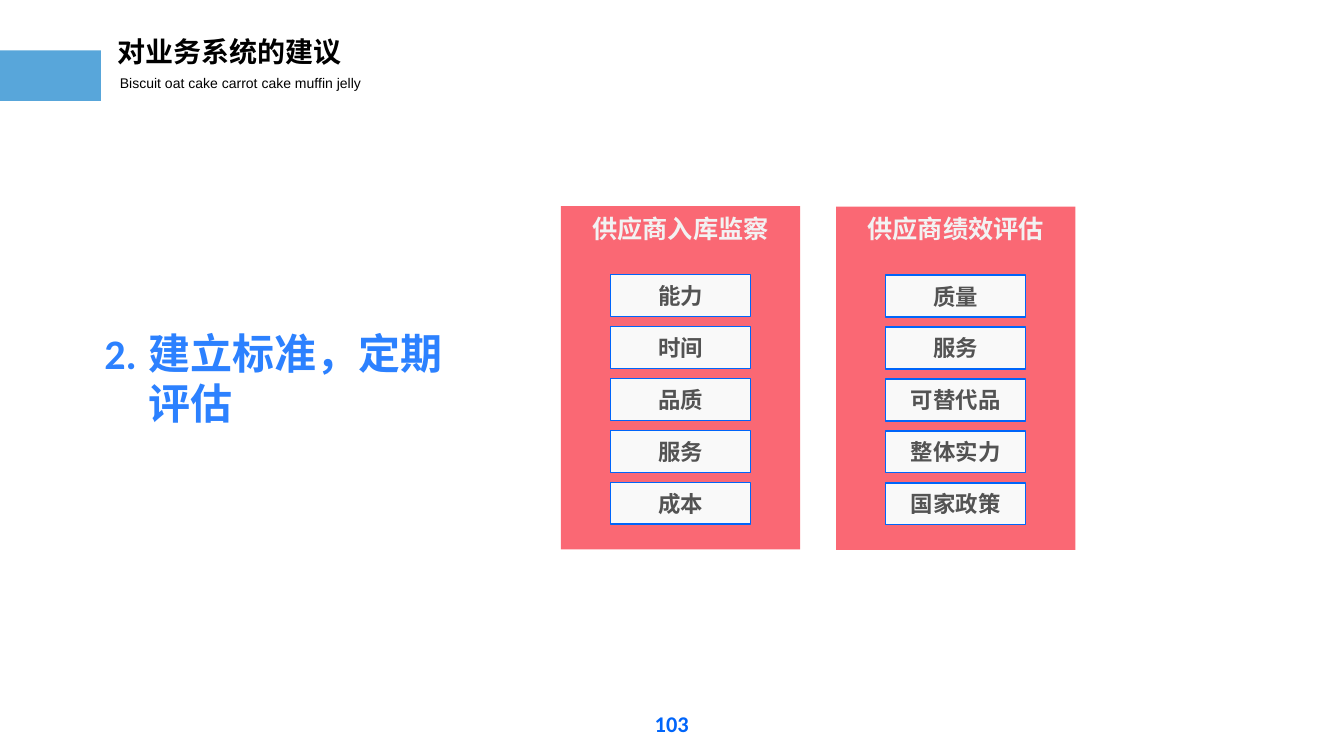
from math import cos, radians, sin

from pptx import Presentation
from pptx.dml.color import RGBColor
from pptx.enum.shapes import MSO_SHAPE
from pptx.enum.text import MSO_ANCHOR, MSO_AUTO_SIZE, PP_ALIGN
from pptx.oxml.ns import qn
from pptx.util import Inches, Pt

COLORS = {
    "blue": "0065FA", "heading": "2C81FF", "panel": "FA6874", "panel_text": "F2F2F2",
    "item": "F9F9F9", "item_text": "535353", "cloud": "58A6DA", "black": "000000",
}
PANEL_W, PANEL_H = 4.75, 6.81
ITEM_W, ITEM_H = 2.78, 0.83
ITEM_TOP, ITEM_PITCH = 1.36, 1.03
PANELS = [
    (11.13, 4.09, "供应商入库监察", ["能力", "时间", "品质", "服务", "成本"]),
    (16.59, 4.1, "供应商绩效评估", ["质量", "服务", "可替代品", "整体实力", "国家政策"]),
]
# Cloud lobes, clockwise: centre x, centre y, radius, start angle, end angle
LOBES = [
    (0.74, 1.39, 0.28, 90, 270),
    (1.11, 1.07, 0.38, 174, 344),
    (1.66, 1.28, 0.37, 240, 355),
    (2.03, 1.46, 0.21, 270, 450),
]


def rgb(name):
    return RGBColor.from_string(COLORS[name])


def place(sp, x, y, w, h):
    sp.left, sp.top, sp.width, sp.height = (Inches(v) for v in (x, y, w, h))


def write(sp, text, size, color, font="Calibri", bold=True, align=PP_ALIGN.LEFT,
          anchor=MSO_ANCHOR.TOP, inset=0.1, fit=MSO_AUTO_SIZE.NONE):
    tf = sp.text_frame
    tf.word_wrap, tf.auto_size, tf.vertical_anchor = True, fit, anchor
    tf.margin_left = tf.margin_right = tf.margin_top = tf.margin_bottom = Inches(inset)
    p = tf.paragraphs[0]
    p.alignment, p.space_before = align, Pt(0)
    r = p.add_run()
    r.text = text
    r.font.name, r.font.size, r.font.bold = font, Pt(size), bold
    r.font.color.rgb = rgb(color)
    ea = r.font._element.makeelement(qn("a:ea"), {"typeface": font})
    r.font._element.find(qn("a:latin")).addnext(ea)
    return p


def number(p, start, indent):
    pPr = p._p.get_or_add_pPr()
    pPr.set("marL", str(Inches(indent)))
    pPr.set("indent", str(-Inches(indent)))
    pPr.append(pPr.makeelement(qn("a:buFont"), {"typeface": "+mj-lt"}))
    pPr.append(pPr.makeelement(qn("a:buAutoNum"),
                               {"type": "arabicPeriod", "startAt": str(start)}))


def add_box(shapes, x, y, w, h, fill, line=None):
    sp = shapes.add_shape(MSO_SHAPE.RECTANGLE, *(Inches(v) for v in (x, y, w, h)))
    sp.shadow.inherit = False
    sp.fill.solid()
    sp.fill.fore_color.rgb = rgb(fill)
    if line:
        sp.line.color.rgb = rgb(line)
        sp.line.width = Pt(2)
    else:
        sp.line.fill.background()
    return sp


def add_panel(s, x, y, title, items):
    shapes = s.shapes.add_group_shape().shapes
    panel = add_box(shapes, x, y, PANEL_W, PANEL_H, "panel")
    write(panel, title, 36, "panel_text", align=PP_ALIGN.CENTER, inset=0.14)
    for i, item in enumerate(items):
        sp = add_box(shapes, x + (PANEL_W - ITEM_W) / 2, y + ITEM_TOP + i * ITEM_PITCH,
                     ITEM_W, ITEM_H, "item", "blue")
        write(sp, item, 32, "item_text", align=PP_ALIGN.CENTER, anchor=MSO_ANCHOR.MIDDLE)


def add_label(s, x, y, w, h, text, size, color, **fmt):
    sp = s.shapes.add_textbox(*(Inches(v) for v in (x, y, w, h)))
    write(sp, text, size, color, fit=MSO_AUTO_SIZE.SHAPE_TO_FIT_TEXT, **fmt)


def add_cloud(s):
    points = []
    for cx, cy, radius, start, end in LOBES:
        steps = 24
        for i in range(steps + 1):
            a = radians(start + (end - start) * i / steps)
            points.append((cx + radius * cos(a), cy + radius * sin(a)))
    fb = s.shapes.build_freeform(*points[0], scale=Inches(1))
    fb.add_line_segments(points[1:], close=True)
    sp = fb.convert_to_shape()
    sp.shadow.inherit = False
    sp.fill.solid()
    sp.fill.fore_color.rgb = rgb("cloud")
    sp.line.fill.background()


def main():
    prs = Presentation()
    prs.slide_width, prs.slide_height = Inches(26.67), Inches(15)
    s = prs.slides.add_slide(prs.slide_layouts[1])
    title, body = s.placeholders
    grow = MSO_AUTO_SIZE.SHAPE_TO_FIT_TEXT

    place(title, 2.24, 0.59, 7.52, 0.98)
    write(title, "对业务系统的建议", 40, "black", font="Noto Sans CJK SC", fit=grow)
    place(body, 1.97, 6.23, 7.04, 2.53)
    p = write(body, "建立标准，定期评估", 60, "heading", anchor=MSO_ANCHOR.MIDDLE, fit=grow)
    number(p, start=2, indent=0.88)

    add_label(s, 2.28, 1.38, 5.86, 0.51, "Biscuit oat cake carrot cake muffin jelly",
              20, "black", font="Arial", bold=False)
    for panel in PANELS:
        add_panel(s, *panel)
    add_cloud(s)
    add_label(s, 12.86, 13.99, 0.94, 0.73, "103", 32, "blue",
              align=PP_ALIGN.CENTER, anchor=MSO_ANCHOR.MIDDLE)
    prs.save("out.pptx")


if __name__ == "__main__":
    main()
